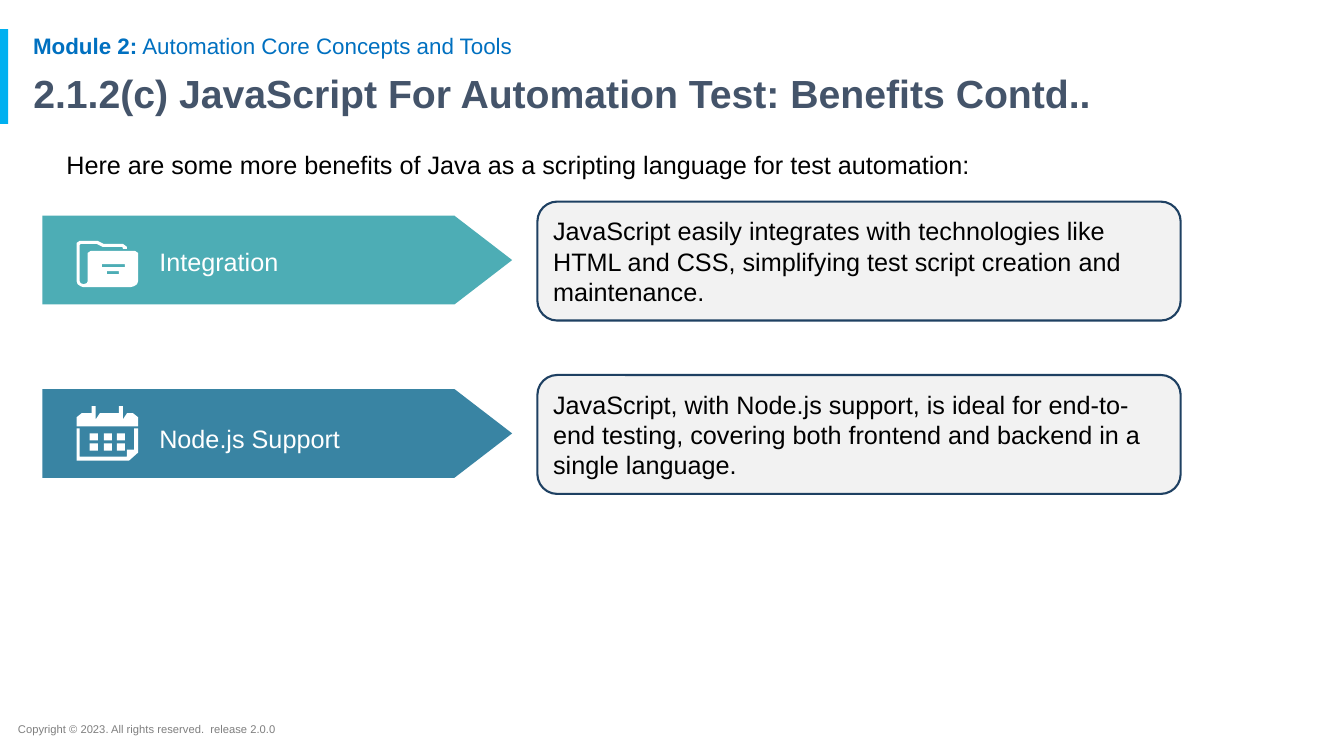
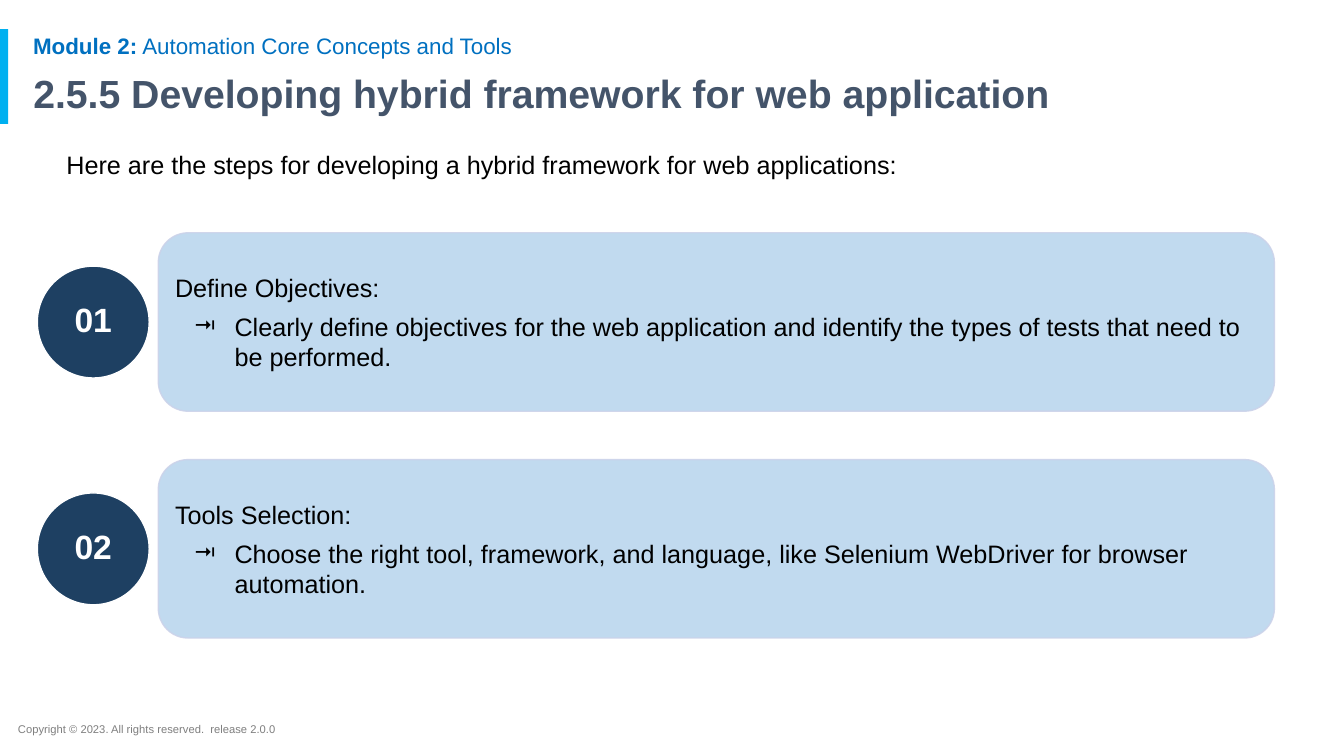
from lxml.etree import SubElement
from pptx import Presentation
from pptx.dml.color import RGBColor
from pptx.enum.shapes import MSO_SHAPE
from pptx.enum.text import MSO_ANCHOR, MSO_AUTO_SIZE, PP_ALIGN
from pptx.oxml.ns import qn
from pptx.util import Inches, Pt

FONT = "Arial"
COLORS = {
    "accent": "00B0F0",
    "module": "0070C0",
    "title": "44546A",
    "footer": "7F7F7F",
    "black": "000000",
    "white": "FFFFFF",
    "teal": "4DADB5",
    "blue": "3984A3",
    "navy": "1E4062",
    "panel": "F2F2F2",
    "card": "BBD6EE",
    "card_line": "CCD3EA",
}
STANDARD_INSETS = (0.1, 0.05, 0.1, 0.05)
ICON_UNIT = Inches(0.01)


def color(name):
    return RGBColor.from_string(COLORS[name])


def rectangle_points(left, top, width, height):
    right, bottom = left + width, top + height
    return [(left, top), (right, top), (right, bottom), (left, bottom)]


FOLDER_ICON = [
    [(58, 10), (14, 10), (11, 12), (11, 40), (10, 42), (7, 43), (4, 42), (3, 40),
     (3, 4), (4, 3), (20, 3), (26, 6), (45, 6), (46, 7), (46, 8), (50, 8), (50, 6),
     (46, 3), (27, 3), (21, 0), (3, 0), (0, 2), (0, 40), (1, 43), (4, 45), (7, 46),
     (53, 46), (57, 45), (60, 43), (61, 40), (61, 12)],
    rectangle_points(25, 23, 23, 3),
    rectangle_points(30, 30, 12, 3),
]
CALENDAR_ICON = [
    [(15, 0), (19, 0), (19, 13), (23, 7), (42, 7), (42, 0), (46, 0), (46, 13),
     (50, 7), (56, 7), (61, 11), (61, 20), (0, 20), (0, 11), (5, 7), (15, 7)],
    [(0, 22), (3, 22), (3, 50), (50, 50), (50, 43), (57, 43), (57, 22), (61, 22),
     (61, 46), (52, 54), (0, 54)],
] + [rectangle_points(x, y, 8, 7) for y in (27, 37) for x in (13, 27, 40)]


def set_frame(shape, insets=STANDARD_INSETS, anchor=MSO_ANCHOR.TOP):
    frame = shape.text_frame
    frame.word_wrap = True
    frame.auto_size = MSO_AUTO_SIZE.NONE
    frame.vertical_anchor = anchor
    frame.margin_left, frame.margin_top, frame.margin_right, frame.margin_bottom = (
        Inches(inset) for inset in insets
    )
    return frame


def write_run(paragraph, text, size=18, color_name="black", bold=False):
    run = paragraph.add_run()
    run.text = text
    run.font.name = FONT
    run.font.size = Pt(size)
    run.font.bold = bold
    run.font.color.rgb = color(color_name)


def start_paragraph(frame, line_spacing=None, alignment=PP_ALIGN.LEFT):
    paragraph = frame.paragraphs[0]
    paragraph.alignment = alignment
    paragraph.line_spacing = line_spacing
    return paragraph


def add_text_box(slide, left, top, width, height, line_spacing=None, insets=STANDARD_INSETS):
    box = slide.shapes.add_textbox(Inches(left), Inches(top), Inches(width), Inches(height))
    return box, start_paragraph(set_frame(box, insets), line_spacing)


def style_shape(shape, fill, line=None, line_width=1):
    shape.shadow.inherit = False
    shape.fill.solid()
    shape.fill.fore_color.rgb = color(fill)
    if line:
        shape.line.color.rgb = color(line)
        shape.line.width = Pt(line_width)
    else:
        shape.line.fill.background()


def add_preset(slide, preset, left, top, width, height, fill, line=None, line_width=1):
    shape = slide.shapes.add_shape(
        preset, Inches(left), Inches(top), Inches(width), Inches(height)
    )
    style_shape(shape, fill, line, line_width)
    return shape


def set_opacity(shape, percent):
    for node in shape._element.spPr.iter(qn("a:srgbClr")):
        SubElement(node, qn("a:alpha"), val=str(percent * 1000))


def add_bullet(paragraph, character, margin, hanging):
    properties = paragraph._p.get_or_add_pPr()
    properties.set("marL", str(Inches(margin)))
    properties.set("indent", str(-Inches(hanging)))
    bullet_color = SubElement(properties, qn("a:buClr"))
    SubElement(bullet_color, qn("a:srgbClr"), val=COLORS["black"])
    SubElement(properties, qn("a:buFont"), typeface=FONT)
    SubElement(properties, qn("a:buChar"), char=character)


def add_icon(slide, contours, left, top):
    builder = slide.shapes.build_freeform(*contours[0][0], scale=float(ICON_UNIT))
    for index, contour in enumerate(contours):
        if index:
            builder.move_to(*contour[0])
        builder.add_line_segments(contour[1:], close=True)
    style_shape(builder.convert_to_shape(Inches(left), Inches(top)), "white")


def furnish_layout(layout, slide):
    accent_bar = add_preset(slide, MSO_SHAPE.RECTANGLE, 0, 0.29, 0.08, 0.94, "accent")
    footer, paragraph = add_text_box(slide, 0.08, 7.12, 7.13, 0.24)
    write_run(paragraph, "Copyright © 2023. All rights reserved.  release 2.0.0", 8, "footer")
    module, paragraph = add_text_box(slide, 0.23, 0.3, 11.5, 0.33, 0.9)
    write_run(paragraph, "Module 2:", 16, "module", True)
    write_run(paragraph, " Automation Core Concepts and Tools", 16, "module")
    for shape_id, shape in enumerate((accent_bar, footer, module), start=101):
        shape._element.nvSpPr.cNvPr.set("id", str(shape_id))
        layout.shapes._spTree.append(shape._element)


def add_heading(slide, title_text, intro_text):
    title = slide.shapes.title
    title.left, title.top = Inches(0.23), Inches(0.69)
    title.width, title.height = Inches(12.73), Inches(0.54)
    write_run(start_paragraph(set_frame(title), 0.9), title_text, 28, "title", True)
    intro, paragraph = add_text_box(slide, 0.56, 1.43, 11.24, 0.42)
    write_run(paragraph, intro_text)


def add_benefit(slide, left, top, fill, icon, icon_top, label_top, label, description):
    arrow = add_preset(slide, MSO_SHAPE.PENTAGON, left, top + 0.14, 4.66, 0.88, fill)
    arrow.adjustments[0] = 0.65
    add_icon(slide, icon, left + 0.34, top + icon_top)
    box, paragraph = add_text_box(
        slide, left + 1.03, top + label_top, 3.48, 0.47, 1.15, (0.13,) * 4
    )
    write_run(paragraph, label, color_name="white")
    panel = add_preset(
        slide, MSO_SHAPE.ROUNDED_RECTANGLE, left + 4.91, top, 6.38, 1.18, "panel", "navy", 1.5
    )
    write_run(start_paragraph(set_frame(panel, anchor=MSO_ANCHOR.MIDDLE)), description)


def add_step(slide, left, top, number, heading, detail):
    diameter, card_height = 1.11, 1.77
    circle = add_preset(
        slide, MSO_SHAPE.OVAL, left, top + (card_height - diameter) / 2,
        diameter, diameter, "navy", "white"
    )
    frame = set_frame(circle, (0.15, 0.11, 0.15, 0.11), MSO_ANCHOR.MIDDLE)
    paragraph = start_paragraph(frame, 0.9, PP_ALIGN.CENTER)
    write_run(paragraph, f"{number:02d}", 24, "white", True)

    card = add_preset(
        slide, MSO_SHAPE.ROUNDED_RECTANGLE, left + 1.2, top, 11.07, card_height,
        "card", "card_line"
    )
    set_opacity(card, 90)
    frame = set_frame(card, (0.08, 0.09, 0.13, 0.09), MSO_ANCHOR.MIDDLE)
    write_run(start_paragraph(frame), heading)
    paragraph = frame.add_paragraph()
    paragraph.level = 2
    paragraph.alignment = PP_ALIGN.LEFT
    paragraph.space_before = Pt(6)
    add_bullet(paragraph, "⭲", 0.59, 0.4)
    write_run(paragraph, detail)


def build_benefits(slide):
    add_heading(
        slide,
        "2.1.2(c) JavaScript For Automation Test: Benefits Contd..",
        "Here are some more benefits of Java as a scripting language for test automation:",
    )
    benefits = [
        ("teal", FOLDER_ICON, 0.39, 0.27, "Integration",
         "JavaScript easily integrates with technologies like HTML and CSS, "
         "simplifying test script creation and maintenance."),
        ("blue", CALENDAR_ICON, 0.31, 0.31, "Node.js Support",
         "JavaScript, with Node.js support, is ideal for end-to-end testing, "
         "covering both frontend and backend in a single language."),
    ]
    for index, benefit in enumerate(benefits):
        add_benefit(slide, 0.42, 2 + 1.72 * index, *benefit)


def build_steps(slide):
    add_heading(
        slide,
        "2.5.5 Developing hybrid framework for web application",
        "Here are the steps for developing a hybrid framework for web applications:",
    )
    steps = [
        ("Define Objectives:",
         "Clearly define objectives for the web application and identify "
         "the types of tests that need to be performed."),
        ("Tools Selection:",
         "Choose the right tool, framework, and language, like Selenium WebDriver "
         "for browser automation."),
    ]
    for index, step in enumerate(steps):
        add_step(slide, 0.37, 2.31 + 2.25 * index, index + 1, *step)


def main():
    presentation = Presentation()
    presentation.slide_width = Inches(13.33)
    presentation.slide_height = Inches(7.5)
    layout = presentation.slide_layouts[5]
    benefits_slide = presentation.slides.add_slide(layout)
    furnish_layout(layout, benefits_slide)
    build_benefits(benefits_slide)
    build_steps(presentation.slides.add_slide(layout))
    presentation.save("out.pptx")


if __name__ == "__main__":
    main()
